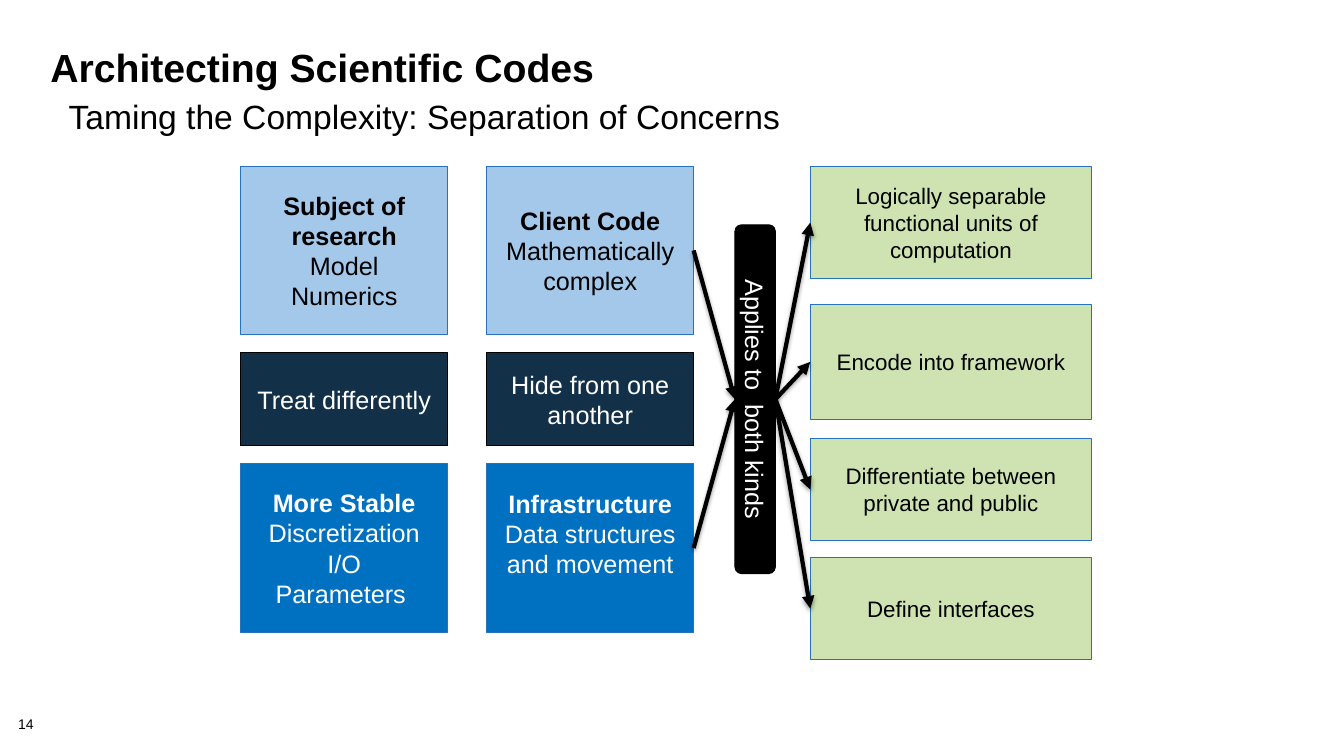
from lxml import etree
from pptx import Presentation
from pptx.dml.color import RGBColor
from pptx.enum.shapes import MSO_CONNECTOR as Link, MSO_SHAPE as Shape
from pptx.enum.text import MSO_ANCHOR as Anchor, PP_ALIGN as Align
from pptx.oxml import parse_xml
from pptx.oxml.ns import nsdecls
from pptx.util import Cm, Pt

# Content: each block is (bold heading or None, plain lines)
TITLE = "Architecting Scientific Codes"
SUBTITLE = "Taming the Complexity: Separation of Concerns"
PAGE = "14"
BRIDGE = "Applies to  both kinds"
COLUMNS = [
    [("Subject of research", ["Model", "Numerics"]),
     (None, ["Treat differently"]),
     ("More Stable", ["Discretization", "I/O", "Parameters "])],
    [("Client Code", ["Mathematically complex"]),
     (None, ["Hide from one another"]),
     ("Infrastructure", ["Data structures and movement"])],
]
# Practice, top and height in cm
PRACTICES = [
    ("Logically separable functional units of computation", 4.19, 2.84),
    ("Encode into framework", 7.67, 2.9),
    ("Differentiate between private and public", 11.05, 2.57),
    ("Define interfaces", 14.05, 2.57),
]

THEME = {
    "font": "Arial",
    "black": "000000", "white": "FFFFFF", "edge": "2673BA", "practice": "CEE3B1",
    # fill, line and text colour of each row of blocks
    "rows": [("A3C8EA", "2673BA", "000000"),
             ("133049", "000000", "FFFFFF"),
             ("0070C0", "2673BA", "FFFFFF")],
    "title_size": 28, "subtitle_size": 24, "block_size": 18,
    "practice_size": 16, "page_size": 10,
    "edge_width": 0.75, "arrow_width": 3,
}

# Layout in cm
COLUMN_LEFT, COLUMN_PITCH, COLUMN_WIDTH = 6.07, 6.2, 5.21
ROW_TOP, ROW_HEIGHTS, ROW_GAP = 4.19, [4.24, 2.34, 4.24], 0.46
PRACTICE_LEFT, PRACTICE_WIDTH = 20.42, 7.09
BRIDGE_X, BRIDGE_Y, BRIDGE_LENGTH, BRIDGE_THICK = 19.03, 10.06, 8.79, 1.02
INFRASTRUCTURE_LIFT = 0.87


def color(name):
    return RGBColor.from_string(THEME.get(name, name))


def write(frame, lines, size, ink, align=Align.CENTER, bold_first=False, spacing=None):
    frame.word_wrap = True
    frame.text = "\n".join(lines)
    for index, paragraph in enumerate(frame.paragraphs):
        paragraph.alignment = align
        paragraph.line_spacing = spacing
        for run in paragraph.runs:
            run.font.name = THEME["font"]
            run.font.size = Pt(THEME[size])
            run.font.color.rgb = color(ink)
            run.font.bold = bold_first and index == 0


def add_label(box, *text, **style):
    frame = slide.shapes.add_textbox(*map(Cm, box)).text_frame
    write(frame, *text, **style)
    return frame


def add_block(kind, box, fill, edge, *text, **style):
    block = slide.shapes.add_shape(kind, *map(Cm, box))
    block.shadow.inherit = False
    block.fill.solid()
    block.fill.fore_color.rgb = color(fill)
    block.line.color.rgb = color(edge)
    block.line.width = Pt(THEME["edge_width"])
    block.text_frame.vertical_anchor = Anchor.MIDDLE
    write(block.text_frame, *text, **style)
    return block


def add_arrow(start, start_side, start_at, end, end_side, end_at):
    arrow = slide.shapes.add_connector(Link.STRAIGHT, *start_at, *end_at)
    arrow.begin_connect(start, start_side)
    arrow.end_connect(end, end_side)
    # Joining ignores the bridge's rotation, so set the ends again
    arrow.begin_x, arrow.begin_y = start_at
    arrow.end_x, arrow.end_y = end_at
    arrow.line.color.rgb = color("black")
    arrow.line.width = Pt(THEME["arrow_width"])
    etree.SubElement(arrow.line._get_or_add_ln(),
                     "{http://schemas.openxmlformats.org/drawingml/2006/main}tailEnd",
                     type="triangle")
    arrow._element.spPr.append(parse_xml(
        f'<a:effectLst {nsdecls("a")}>'
        '<a:outerShdw blurRad="40000" dist="20000" dir="5400000" rotWithShape="0">'
        f'<a:srgbClr val="{THEME["black"]}"><a:alpha val="38000"/></a:srgbClr>'
        '</a:outerShdw></a:effectLst>'))


prs = Presentation()
prs.slide_width, prs.slide_height = Cm(33.87), Cm(19.05)
slide = prs.slides.add_slide(prs.slide_layouts[6])

# Page number and headings
page = add_label((0.46, 18.08, 1.42, 0.41), [PAGE], "page_size", "black",
                 align=Align.LEFT, spacing=0.9)
page.margin_left = page.margin_top = page.margin_right = page.margin_bottom = 0
add_label((1.02, 1.14, 31.6, 2.54), [TITLE], "title_size", "black",
          align=Align.LEFT, bold_first=True, spacing=0.85)
add_label((0, 2.41, 21.39, 1.78), [SUBTITLE], "subtitle_size", "black", spacing=0.9)

# Two columns of concerns
grid = []
for column, concerns in enumerate(COLUMNS):
    left = COLUMN_LEFT + column * COLUMN_PITCH
    blocks = []
    for row, (heading, lines) in enumerate(concerns):
        fill, edge, ink = THEME["rows"][row]
        top = ROW_TOP + sum(ROW_HEIGHTS[:row]) + row * ROW_GAP
        blocks.append(add_block(
            Shape.RECTANGLE, (left, top, COLUMN_WIDTH, ROW_HEIGHTS[row]), fill, edge,
            ([heading] if heading else []) + lines, "block_size", ink,
            bold_first=bool(heading)))
    grid.append(blocks)
client, _, infrastructure = grid[-1]
infrastructure.text_frame.margin_bottom = Cm(INFRASTRUCTURE_LIFT)

# Practices
practices = [
    add_block(Shape.RECTANGLE, (PRACTICE_LEFT, top, PRACTICE_WIDTH, height),
              "practice", "edge", [practice], "practice_size", "black")
    for practice, top, height in PRACTICES]

# Upright bridge between the two kinds of code and the practices
bridge = add_block(
    Shape.ROUNDED_RECTANGLE,
    (BRIDGE_X - BRIDGE_LENGTH / 2, BRIDGE_Y - BRIDGE_THICK / 2, BRIDGE_LENGTH, BRIDGE_THICK),
    "black", "black", [BRIDGE], "block_size", "white")
bridge.rotation = 90

# Arrows into and out of the bridge; its bottom faces left and its top faces right
bridge_left = Cm(BRIDGE_X - BRIDGE_THICK / 2), Cm(BRIDGE_Y)
bridge_right = Cm(BRIDGE_X + BRIDGE_THICK / 2), Cm(BRIDGE_Y)
for code in (client, infrastructure):
    code_right = code.left + code.width, code.top + code.height // 2
    add_arrow(code, 3, code_right, bridge, 2, bridge_left)
for practice in practices:
    practice_left = practice.left, practice.top + practice.height // 2
    add_arrow(bridge, 0, bridge_right, practice, 1, practice_left)

prs.save("out.pptx")
